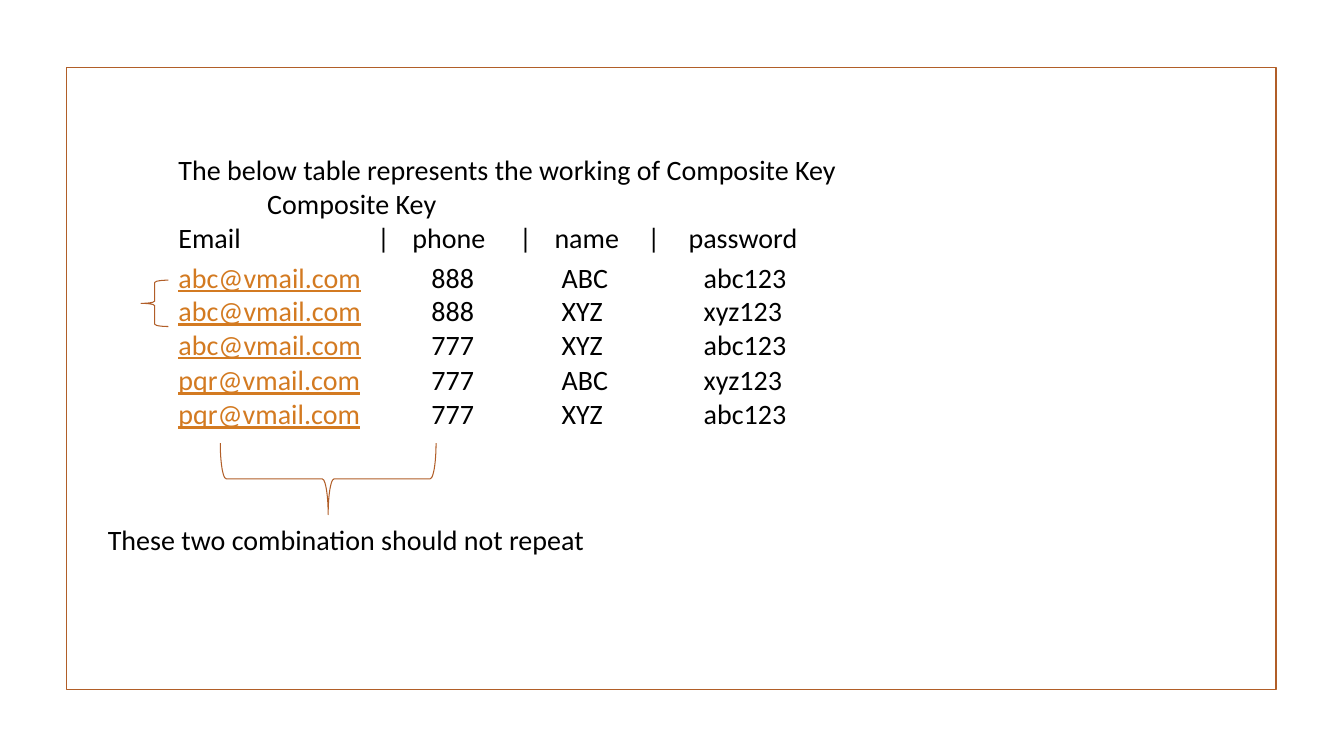
"""Build a slide that explains composite keys with a small text table."""
from dataclasses import dataclass

import lxml.etree
import pptx
import pptx.dml.color
import pptx.enum.shapes
import pptx.enum.text
import pptx.oxml.ns
import pptx.shapes.autoshape
import pptx.slide
import pptx.text.text
import pptx.util

Inches = pptx.util.Inches
Shapes = pptx.enum.shapes.MSO_SHAPE
BLACK, RUST, ORANGE = "000000", "B15E28", "D37A21"
TABLE_LEFT = 1.77
LINE_HEIGHT = 0.34
HEADER_STOPS = (1.97, 2.32, 3.38, 3.73, 4.65, 5.06)
ROW_STOPS = (2.51, 3.8, 5.21)


@dataclass(frozen=True)
class TextBlock:
    left: float
    top: float
    rows: tuple[tuple[str, ...], ...]
    stops: tuple[float, ...] = ()
    first_color: str = BLACK
    underline: bool = False
    line_spacing: float = 1.0


@dataclass(frozen=True)
class Outline:
    kind: Shapes
    left: float
    top: float
    width: float
    height: float
    weight: float = 0.75
    rotation: float = 0


TITLE = TextBlock(TABLE_LEFT, 1.51, (("The below table represents the working of Composite Key",),))
BLOCKS = (
    TextBlock(2.65, 1.85, (("Composite Key",),)),
    TextBlock(TABLE_LEFT, 2.19, (("Email", "|", "phone", "|", "name", "|", "password"),), HEADER_STOPS),
    TextBlock(TABLE_LEFT, 2.58, (
        ("abc@vmail.com", "888", "ABC", "abc123"),
        ("abc@vmail.com", "888", "XYZ", "xyz123"),
        ("abc@vmail.com", "777", "XYZ", "abc123"),
    ), ROW_STOPS, ORANGE, True),
    TextBlock(TABLE_LEFT, 3.6, (
        ("pqr@vmail.com", "777", "ABC", "xyz123"),
        ("pqr@vmail.com", "777", "XYZ", "abc123"),
    ), ROW_STOPS, ORANGE, True),
    TextBlock(1.07, 5.16, (("These two combination should not repeat",),), line_spacing=1.07),
)
OUTLINES = (
    Outline(Shapes.RECTANGLE, 0.66, 0.67, 12, 6.17, weight=1.25),
    Outline(Shapes.LEFT_BRACE, 2.9, 3.68, 0.71, 2.14, rotation=270),
    Outline(Shapes.LEFT_BRACE, 1.4, 2.78, 0.27, 0.46),
)


def color(value: str) -> pptx.dml.color.RGBColor:
    """Turn a hex string into a colour."""
    return pptx.dml.color.RGBColor.from_string(value)


def add_outline(slide: pptx.slide.Slide, outline: Outline) -> None:
    """Draw an unfilled shape."""
    box = map(Inches, (outline.left, outline.top, outline.width, outline.height))
    shape = slide.shapes.add_shape(outline.kind, *box)
    shape.shadow.inherit = False
    shape.fill.background()
    shape.line.color.rgb = color(RUST)
    shape.line.width = pptx.util.Pt(outline.weight)
    shape.rotation = outline.rotation


def set_tab_stops(paragraph: pptx.text.text._Paragraph, stops: tuple[float, ...]) -> None:
    """Give a paragraph left-aligned tab stops."""
    qualified = pptx.oxml.ns.qn
    properties = paragraph._p.get_or_add_pPr()
    tab_list = lxml.etree.SubElement(properties, qualified("a:tabLst"))
    for stop in stops:
        lxml.etree.SubElement(tab_list, qualified("a:tab"), pos=str(Inches(stop)), algn="l")


def write_block(shape: pptx.shapes.autoshape.Shape, block: TextBlock) -> None:
    """Place a text shape and fill it with tabbed rows."""
    shape.left, shape.top = Inches(block.left), Inches(block.top)
    shape.width, shape.height = Inches(9), Inches(LINE_HEIGHT * len(block.rows))
    frame = shape.text_frame
    frame.word_wrap = True
    frame.auto_size = pptx.enum.text.MSO_AUTO_SIZE.NONE
    frame.vertical_anchor = pptx.enum.text.MSO_ANCHOR.TOP
    frame.margin_left = frame.margin_right = frame.margin_top = frame.margin_bottom = 0
    for index, (first, *others) in enumerate(block.rows):
        paragraph = frame.add_paragraph() if index else frame.paragraphs[0]
        paragraph.alignment = pptx.enum.text.PP_ALIGN.LEFT
        paragraph.line_spacing = block.line_spacing
        paragraph.space_before = pptx.util.Pt(0)
        if block.stops:
            set_tab_stops(paragraph, block.stops)
        paragraph.font.name = "Calibri"
        paragraph.font.size = pptx.util.Pt(20)
        paragraph.font.color.rgb = color(BLACK)
        run = paragraph.add_run()
        run.text = first
        run.font.color.rgb = color(block.first_color)
        run.font.underline = block.underline
        if others:
            rest = paragraph.add_run()
            rest.text = "\t" + "\t".join(others)
            rest.font.color.rgb = color(BLACK)


def main() -> None:
    """Create and save the presentation."""
    presentation = pptx.Presentation()
    presentation.slide_width, presentation.slide_height = Inches(13.33), Inches(7.5)
    slide = presentation.slides.add_slide(presentation.slide_layouts[5])
    for outline in OUTLINES:
        add_outline(slide, outline)
    write_block(slide.shapes.title, TITLE)
    for block in BLOCKS:
        write_block(slide.shapes.add_textbox(0, 0, 0, 0), block)
    presentation.save("out.pptx")


if __name__ == "__main__":
    main()
